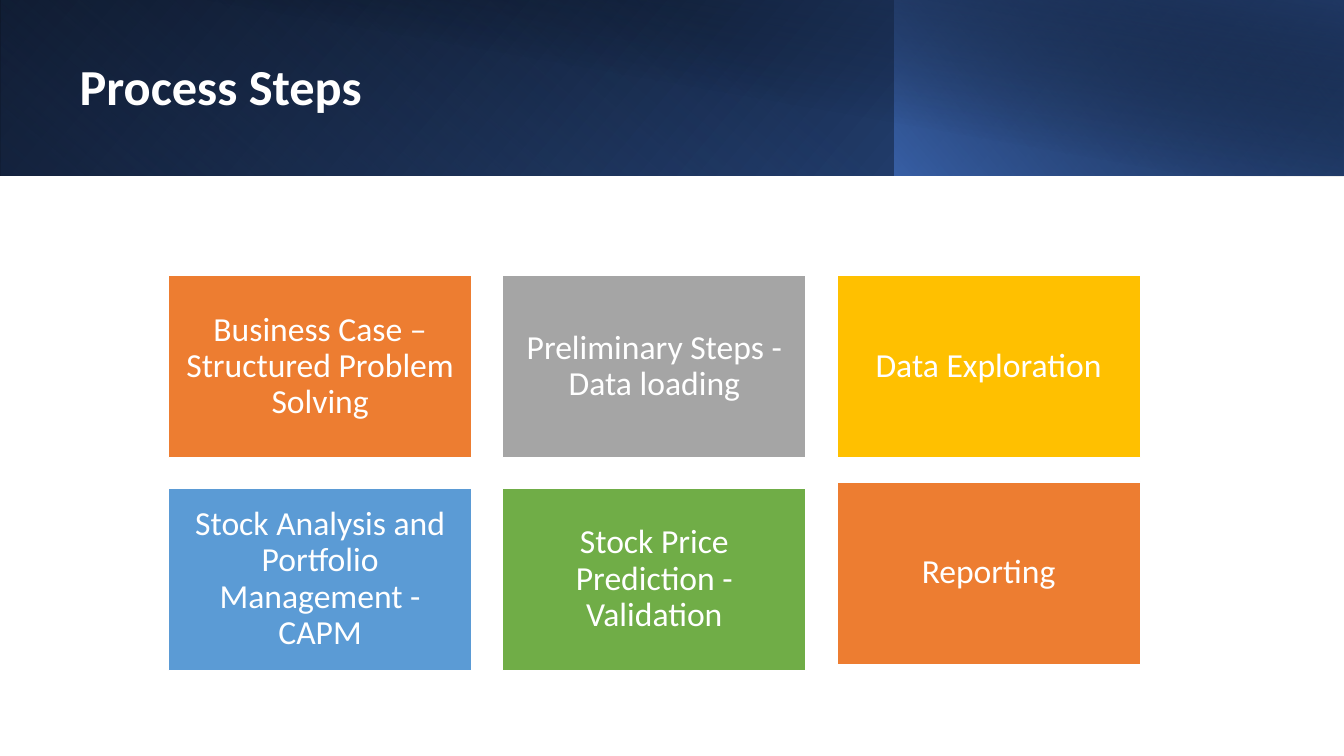
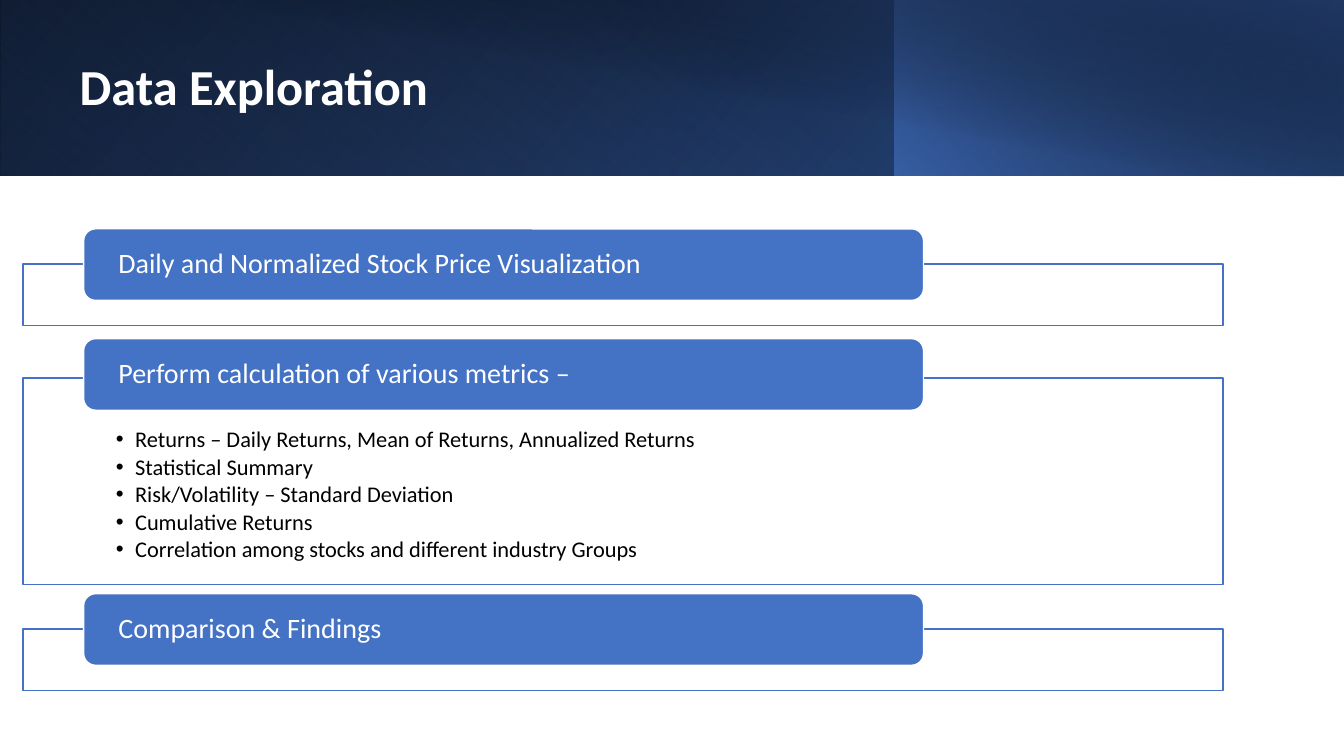
"""Build two slides on the process steps and data exploration of a stock study."""
import lxml.etree
import pptx
import pptx.dml.color
import pptx.enum.shapes
import pptx.enum.text
import pptx.oxml.ns
import pptx.util

Inches = pptx.util.Inches
Pt = pptx.util.Pt
SHAPE = pptx.enum.shapes.MSO_SHAPE
ALIGN = pptx.enum.text.PP_ALIGN
ANCHOR = pptx.enum.text.MSO_ANCHOR
qn = pptx.oxml.ns.qn

FONT = "Calibri"
WHITE, BLACK, BLUE, NAVY = "FFFFFF", "000000", "4472C4", "203864"
ORANGE, GRAY, GOLD, SKY, GREEN = "ED7D31", "A5A5A5", "FFC000", "5B9BD5", "70AD47"

BANDS = [
    dict(at=(0, 0, 13.33, 1.74), flip=True, turn=0, angle=140,
         stops=[(0, BLACK, 100), (100, "2F5597", 100)]),
    dict(at=(0, 0, 8.88, 1.74), flip=True, turn=180, angle=230,
         stops=[(20, BLUE, 0), (100, NAVY, 55)]),
    dict(at=(8.87, 0, 4.46, 1.74), flip=True, turn=0, angle=220,
         stops=[(0, BLUE, 66), (100, BLACK, 30)]),
    dict(at=(0.5, 0, 12.83, 1.75), flip=False, turn=0, angle=280,
         stops=[(50, BLACK, 0), (99, NAVY, 52)]),
]

STEPS = [
    ("Business Case – Structured Problem Solving", ORANGE, 2.73),
    ("Preliminary Steps - Data loading", GRAY, 2.73),
    ("Data Exploration", GOLD, 2.73),
    ("Stock Analysis and Portfolio Management - CAPM", SKY, 4.84),
    ("Stock Price Prediction - Validation", GREEN, 4.84),
    ("Reporting", ORANGE, 4.78),
]
STEP_COLUMNS = 3
STEP_LEFT, STEP_LAST_LEFT = 1.67, 8.3
STEP_WIDTH, STEP_HEIGHT = 3.01, 1.81

METRICS = [
    "Returns – Daily Returns, Mean of Returns, Annualized Returns",
    "Statistical Summary",
    "Risk/Volatility – Standard Deviation",
    "Cumulative Returns",
    "Correlation among stocks and different industry Groups",
]
SECTIONS = [
    ("Daily and Normalized Stock Price Visualization", 2.27, 2.62, 0.61, []),
    ("Perform calculation of various metrics –", 3.36, 3.75, 2.05, METRICS),
    ("Comparison & Findings", 5.89, 6.24, 0.61, []),
]
PANEL_LEFT, PANEL_WIDTH = 0.23, 11.9
HEADING_LEFT, HEADING_WIDTH, HEADING_HEIGHT = 0.83, 8.33, 0.71


def rgb(color):
    return pptx.dml.color.RGBColor.from_string(color)


def place(shape, at):
    shape.left, shape.top, shape.width, shape.height = map(Inches, at)


def add_box(page, kind, at, fill=None, line=None):
    box = page.shapes.add_shape(kind, *map(Inches, at))
    box.shadow.inherit = False
    if fill:
        box.fill.solid()
        box.fill.fore_color.rgb = rgb(fill)
    else:
        box.fill.background()
    if line:
        box.line.color.rgb = rgb(line)
        box.line.width = Pt(1)
    else:
        box.line.fill.background()
    return box


def set_gradient(shape, stops, angle):
    gradient = lxml.etree.Element(qn("a:gradFill"), rotWithShape="1")
    stop_list = lxml.etree.SubElement(gradient, qn("a:gsLst"))
    for position, color, opacity in stops:
        stop = lxml.etree.SubElement(stop_list, qn("a:gs"), pos=str(position * 1000))
        tint = lxml.etree.SubElement(stop, qn("a:srgbClr"), val=color)
        lxml.etree.SubElement(tint, qn("a:alpha"), val=str(opacity * 1000))
    lxml.etree.SubElement(gradient, qn("a:lin"), ang=str(angle * 60000), scaled="0")
    properties = shape.element.spPr
    properties.replace(properties.find(qn("a:noFill")), gradient)


def write(shape, lines, size, color, align=ALIGN.LEFT, anchor=ANCHOR.MIDDLE,
          margins=(0.1, 0.05, 0.1, 0.05), bold=False, after=0):
    frame = shape.text_frame
    frame.text = "\n".join(lines)
    frame.word_wrap = True
    frame.auto_size = pptx.enum.text.MSO_AUTO_SIZE.NONE
    frame.vertical_anchor = anchor
    (frame.margin_left, frame.margin_top,
     frame.margin_right, frame.margin_bottom) = map(Inches, margins)
    for para in frame.paragraphs:
        para.alignment = align
        para.line_spacing = 0.9
        para.space_before = Pt(0)
        para.space_after = Pt(after)
        for span in para.runs:
            span.font.name = FONT
            span.font.size = Pt(size)
            span.font.bold = bold
            span.font.color.rgb = rgb(color)


def add_page(deck, layout_name, title):
    page = deck.slides.add_slide(deck.slide_layouts.get_by_name(layout_name))
    for band in BANDS:
        box = add_box(page, SHAPE.RECTANGLE, band["at"])
        box.rotation = band["turn"]
        if band["flip"]:
            box.element.spPr.find(qn("a:xfrm")).set("flipH", "1")
        set_gradient(box, band["stops"], band["angle"])
    heading = page.shapes.title
    place(heading, (0.69, 0.32, 11.63, 1.13))
    write(heading, [title], 36, WHITE, bold=True)
    bring_to_front(page, heading)
    return page


def bring_to_front(page, shape):
    page.shapes.element.append(shape.element)


def add_steps(page):
    pitch = (STEP_LAST_LEFT - STEP_LEFT) / (STEP_COLUMNS - 1)
    for index, (text, color, top) in enumerate(STEPS):
        left = STEP_LEFT + index % STEP_COLUMNS * pitch
        card = add_box(page, SHAPE.RECTANGLE, (left, top, STEP_WIDTH, STEP_HEIGHT), color, WHITE)
        write(card, [text], 24, WHITE, ALIGN.CENTER, margins=(0.1, 0.1, 0.1, 0.1))


def add_bullets(page, at, lines):
    body = page.placeholders[1]
    place(body, at)
    write(body, lines, 16, BLACK, anchor=ANCHOR.TOP, margins=(0.92, 0.5, 0.92, 0.12), after=2.4)
    for para in body.text_frame.paragraphs:
        properties = para._p.get_or_add_pPr()
        properties.set("marL", str(Inches(0.19)))
        properties.set("indent", str(-Inches(0.19)))
        lxml.etree.SubElement(properties, qn("a:buChar"), char="•")
    bring_to_front(page, body)


def add_sections(page):
    for text, top, panel_top, panel_height, bullets in SECTIONS:
        panel_at = (PANEL_LEFT, panel_top, PANEL_WIDTH, panel_height)
        panel = add_box(page, SHAPE.RECTANGLE, panel_at, WHITE, BLUE)
        tint = panel.element.spPr.find(qn("a:solidFill")).find(qn("a:srgbClr"))
        lxml.etree.SubElement(tint, qn("a:alpha"), val="90000")
        if bullets:
            add_bullets(page, panel_at, bullets)
        heading_at = (HEADING_LEFT, top, HEADING_WIDTH, HEADING_HEIGHT)
        heading = add_box(page, SHAPE.ROUNDED_RECTANGLE, heading_at, BLUE, WHITE)
        write(heading, [text], 20, WHITE, margins=(0.31, 0, 0.31, 0))


def main():
    deck = pptx.Presentation()
    deck.slide_width, deck.slide_height = Inches(13.33), Inches(7.5)
    add_steps(add_page(deck, "Title Only", "Process Steps"))
    add_sections(add_page(deck, "Title and Content", "Data Exploration"))
    deck.save("out.pptx")


if __name__ == "__main__":
    main()
